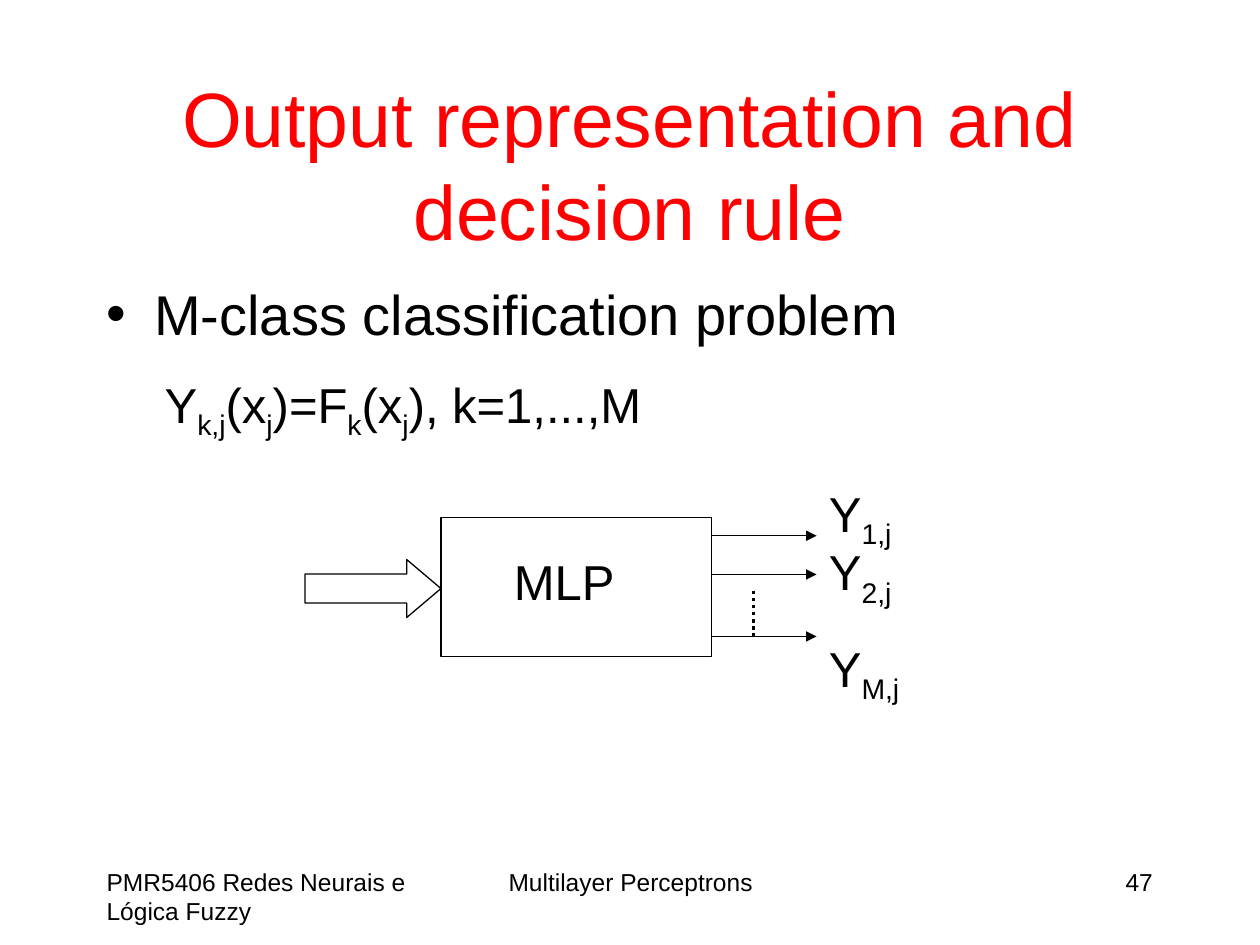
from lxml.etree import SubElement
from pptx import Presentation
from pptx.dml.color import RGBColor
from pptx.enum.dml import MSO_LINE
from pptx.enum.shapes import MSO_CONNECTOR, MSO_SHAPE
from pptx.enum.text import MSO_ANCHOR, PP_ALIGN
from pptx.oxml.ns import qn
from pptx.util import Cm, Pt

BLACK = RGBColor(0, 0, 0)
RED = RGBColor(255, 0, 0)
FONT = "Arial"

TITLE = "Output representation and decision rule"
BULLET = "M-class classification problem"
FORMULA = [("Y", False), ("k,j", True), ("(x", False), ("j", True), (")=F", False),
           ("k", True), ("(x", False), ("j", True), ("), k=1,...,M", False)]
NETWORK = "MLP"
OUTPUTS = [
    {"index": "1,j", "arrow": 10.8, "top": 9.22, "height": 2.01, "spacing": 1.3},
    {"index": "2,j", "arrow": 11.58, "top": 10.8, "height": 1.6, "spacing": 1.0},
    {"index": "M,j", "arrow": 12.83, "top": 12.34, "height": 2.01, "spacing": 1.3},
]
FOOTERS = [
    ("PMR5406 Redes Neurais e Lógica Fuzzy", 1.9, 6.78, PP_ALIGN.LEFT),
    ("Multilayer Perceptrons", 8.69, 8.05, PP_ALIGN.CENTER),
    ("47", 18.21, 5.28, PP_ALIGN.RIGHT),
]
NETWORK_LEFT, NETWORK_TOP, NETWORK_WIDTH, NETWORK_HEIGHT = 8.89, 10.44, 5.46, 2.79
NETWORK_RIGHT = NETWORK_LEFT + NETWORK_WIDTH
OUTPUT_LEFT = 16.46
INPUT_WIDTH = 2.74


def add_text(slide, runs, left, top, width, height, size, color=BLACK,
             align=PP_ALIGN.LEFT, wrap=True, spacing=None):
    box = slide.shapes.add_textbox(Cm(left), Cm(top), Cm(width), Cm(height))
    frame = box.text_frame
    frame.word_wrap = wrap
    paragraph = frame.paragraphs[0]
    paragraph.alignment = align
    if spacing:
        paragraph.line_spacing = spacing
    for text, is_subscript in runs:
        run = paragraph.add_run()
        run.text = text
        run.font.name = FONT
        run.font.size = Pt(size)
        run.font.color.rgb = color
        if is_subscript:
            run.font._element.set("baseline", "-25000")
    return frame


def add_bullet(paragraph, indent):
    properties = paragraph._p.get_or_add_pPr()
    properties.set("marL", str(Cm(indent)))
    properties.set("indent", str(-Cm(indent)))
    SubElement(properties, qn("a:buFont")).set("typeface", FONT)
    SubElement(properties, qn("a:buChar")).set("char", "•")


def add_outline(slide, preset, left, top, width, height):
    outline = slide.shapes.add_shape(preset, Cm(left), Cm(top), Cm(width), Cm(height))
    outline.shadow.inherit = False
    outline.fill.background()
    outline.line.color.rgb = BLACK
    outline.line.width = Pt(0.75)
    return outline


def add_line(slide, start, end, weight):
    line = slide.shapes.add_connector(MSO_CONNECTOR.STRAIGHT, *map(Cm, start + end))
    line.line.color.rgb = BLACK
    line.line.width = Pt(weight)
    SubElement(line._element.spPr, qn("a:effectLst"))
    return line


def main():
    deck = Presentation()
    deck.slide_width, deck.slide_height = Cm(25.4), Cm(19.05)
    slide = deck.slides.add_slide(deck.slide_layouts[6])

    title = add_text(slide, [(TITLE, False)], 1.9, 1.7, 21.59, 3.18, 44, RED, PP_ALIGN.CENTER)
    title.vertical_anchor = MSO_ANCHOR.MIDDLE
    body = add_text(slide, [(BULLET, False)], 1.9, 5.51, 21.59, 11.43, 32)
    add_bullet(body.paragraphs[0], 0.96)
    add_text(slide, FORMULA, 3.07, 7.42, 10.11, 1.6, 28, wrap=False)

    add_outline(slide, MSO_SHAPE.RECTANGLE, NETWORK_LEFT, NETWORK_TOP,
                NETWORK_WIDTH, NETWORK_HEIGHT)
    input_arrow = add_outline(slide, MSO_SHAPE.RIGHT_ARROW, NETWORK_LEFT - INPUT_WIDTH,
                              11.28, INPUT_WIDTH, 1.17)
    input_arrow.adjustments[1] = 0.59
    add_text(slide, [(NETWORK, False)], 10.11, 11, 2.74, 1.45, 28)

    for output in OUTPUTS:
        arrow = add_line(slide, (NETWORK_RIGHT, output["arrow"]),
                         (OUTPUT_LEFT, output["arrow"]), 0.75)
        SubElement(arrow.line._get_or_add_ln(), qn("a:tailEnd")).set("type", "triangle")
        add_text(slide, [("Y", False), (output["index"], True)], OUTPUT_LEFT, output["top"],
                 2.79, output["height"], 28, spacing=output["spacing"])

    ellipsis = add_line(slide, (15.19, 11.91), (15.19, OUTPUTS[-1]["arrow"]), 2)
    ellipsis.line.dash_style = MSO_LINE.ROUND_DOT

    for text, left, width, align in FOOTERS:
        add_text(slide, [(text, False)], left, 17.35, width, 1.27, 14, align=align)

    deck.save("out.pptx")


if __name__ == "__main__":
    main()
